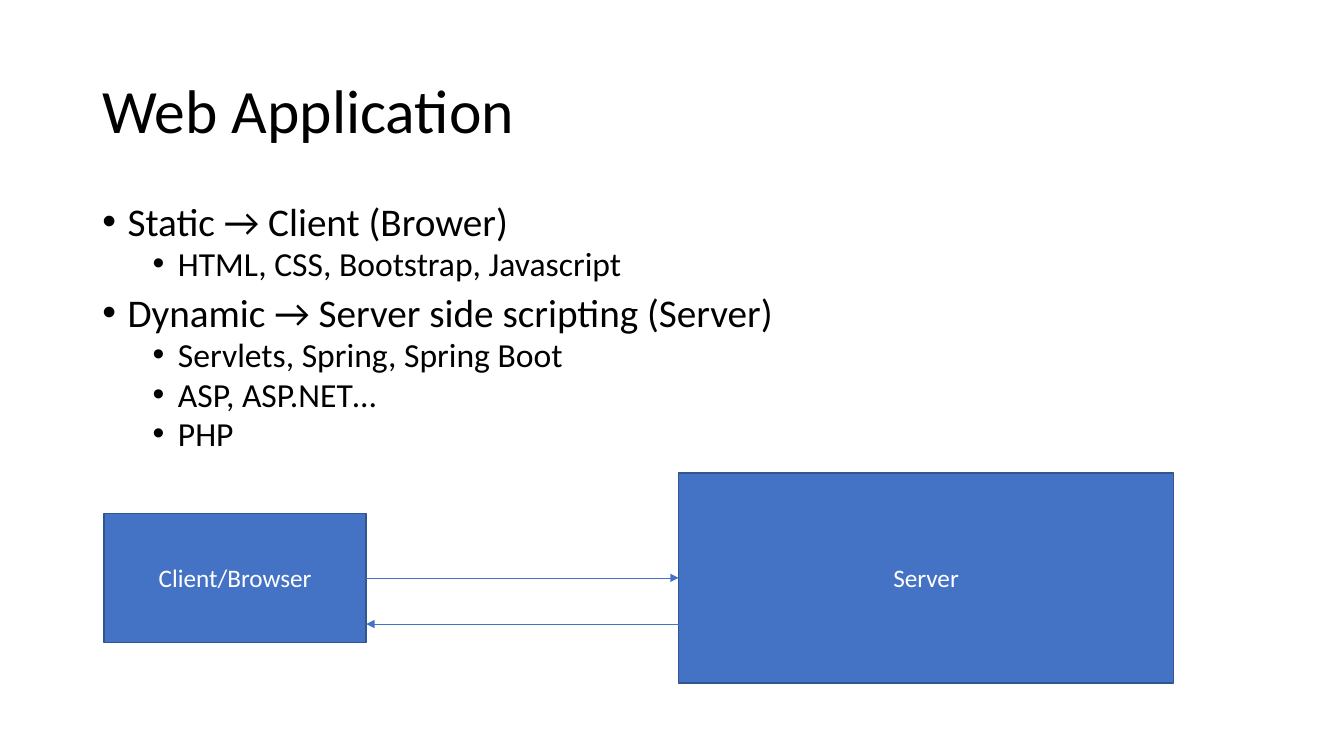
from lxml import etree
from pptx import Presentation
from pptx.dml.color import RGBColor
from pptx.enum.shapes import MSO_CONNECTOR, MSO_SHAPE
from pptx.enum.text import MSO_ANCHOR, PP_ALIGN
from pptx.oxml.ns import qn
from pptx.util import Inches, Pt

BLACK = RGBColor(0x00, 0x00, 0x00)
WHITE = RGBColor(0xFF, 0xFF, 0xFF)
BLUE = RGBColor(0x44, 0x72, 0xC4)
DARK_BLUE = RGBColor(0x32, 0x54, 0x91)
RECTANGLE = MSO_SHAPE.RECTANGLE
STRAIGHT = MSO_CONNECTOR.STRAIGHT
MIDDLE, TOP = MSO_ANCHOR.MIDDLE, MSO_ANCHOR.TOP
CENTER, LEFT = PP_ALIGN.CENTER, PP_ALIGN.LEFT
LEFT_SIDE, RIGHT_SIDE = 1, 3

COLUMNS, ROWS = 160, 90
MARGIN, CONTENT_WIDTH = 11, 138
RETURN_ROW = 74.3
TOPICS = [
    ("Static → Client (Brower)", ["HTML, CSS, Bootstrap, Javascript"]),
    (
        "Dynamic → Server side scripting (Server)",
        ["Servlets, Spring, Spring Boot", "ASP, ASP.NET…", "PHP"],
    ),
]


class SlideBuilder:
    """Draws styled elements on the current slide, placed by grid columns and rows."""

    def __init__(self, deck):
        self.page = deck.slides.add_slide(deck.slide_layouts[6])
        self.column = deck.slide_width / COLUMNS
        self.row = deck.slide_height / ROWS
        self.font = "Calibri"

    def place(self, column, row):
        return round(column * self.column), round(row * self.row)

    def fill_para(self, para, text, size, color, **layout):
        span = para.add_run()
        span.text = text
        for name, value in {"name": self.font, "size": Pt(size)}.items():
            setattr(span.font, name, value)
        span.font.color.rgb = color
        for name, value in layout.items():
            setattr(para, name, value)

    def text_box(self, column, row, width, height, anchor):
        box = self.page.shapes.add_textbox(*self.place(column, row), *self.place(width, height))
        frame = box.text_frame
        for name, value in {"word_wrap": True, "vertical_anchor": anchor}.items():
            setattr(frame, name, value)
        return frame

    def title(self, text, *area):
        frame = self.text_box(*area, MIDDLE)
        self.fill_para(frame.paragraphs[0], text, 44, BLACK, line_spacing=0.9)

    def bullet(self, para, text, level):
        properties = para._p.get_or_add_pPr()
        properties.set("marL", str(Inches(0.25 + 0.5 * level)))
        properties.set("indent", str(Inches(-0.25)))
        etree.SubElement(properties, qn("a:buFont")).set("typeface", "Arial")
        etree.SubElement(properties, qn("a:buChar")).set("char", "•")
        size, space = ((28, 10), (24, 5))[level]
        self.fill_para(para, text, size, BLACK, level=level, alignment=LEFT,
                       line_spacing=0.8, space_before=Pt(space))

    def outline(self, topics, *area):
        frame = self.text_box(*area, TOP)
        first = frame.paragraphs[0]
        para = first
        for heading, details in topics:
            for index, text in enumerate([heading, *details]):
                self.bullet(para or frame.add_paragraph(), text, min(index, 1))
                para = None
        first.space_before = Pt(0)

    def block(self, text, column, row, width, height):
        box = self.page.shapes.add_shape(
            RECTANGLE, *self.place(column, row), *self.place(width, height))
        box.shadow.inherit = False
        box.fill.solid()
        box.fill.fore_color.rgb = BLUE
        box.line.color.rgb = DARK_BLUE
        box.line.width = Pt(1)
        box.text_frame.vertical_anchor = MIDDLE
        self.fill_para(box.text_frame.paragraphs[0], text, 18, WHITE, alignment=CENTER)
        return box

    def arrow(self, start, end):
        line = self.page.shapes.add_connector(STRAIGHT, *start, *end)
        line.line.color.rgb = BLUE
        line.line.width = Pt(0.5)
        stroke = line._element.spPr.find(qn("a:ln"))
        etree.SubElement(stroke, qn("a:tailEnd")).set("type", "triangle")
        etree.SubElement(line._element.spPr, qn("a:effectLst"))
        return line


def main():
    deck = Presentation()
    deck.slide_width, deck.slide_height = Inches(13.33), Inches(7.5)
    slide = SlideBuilder(deck)
    slide.title("Web Application", MARGIN, 4.8, CONTENT_WIDTH, 17.4)
    slide.outline(TOPICS, MARGIN, 24, CONTENT_WIDTH, 31.4)
    client = slide.block("Client/Browser", 12.4, 61.1, 31.2, 15.4)
    server = slide.block("Server", 80.8, 56.3, 58.9, 25)

    client_edge, server_edge = client.left + client.width, server.left
    middle = client.top + client.height // 2
    request = slide.arrow((client_edge, middle), (server_edge, middle))
    request.begin_connect(client, RIGHT_SIDE)
    request.end_connect(server, LEFT_SIDE)
    return_height = round(RETURN_ROW * slide.row)
    slide.arrow((server_edge, return_height), (client_edge, return_height))
    deck.save("out.pptx")


if __name__ == "__main__":
    main()
